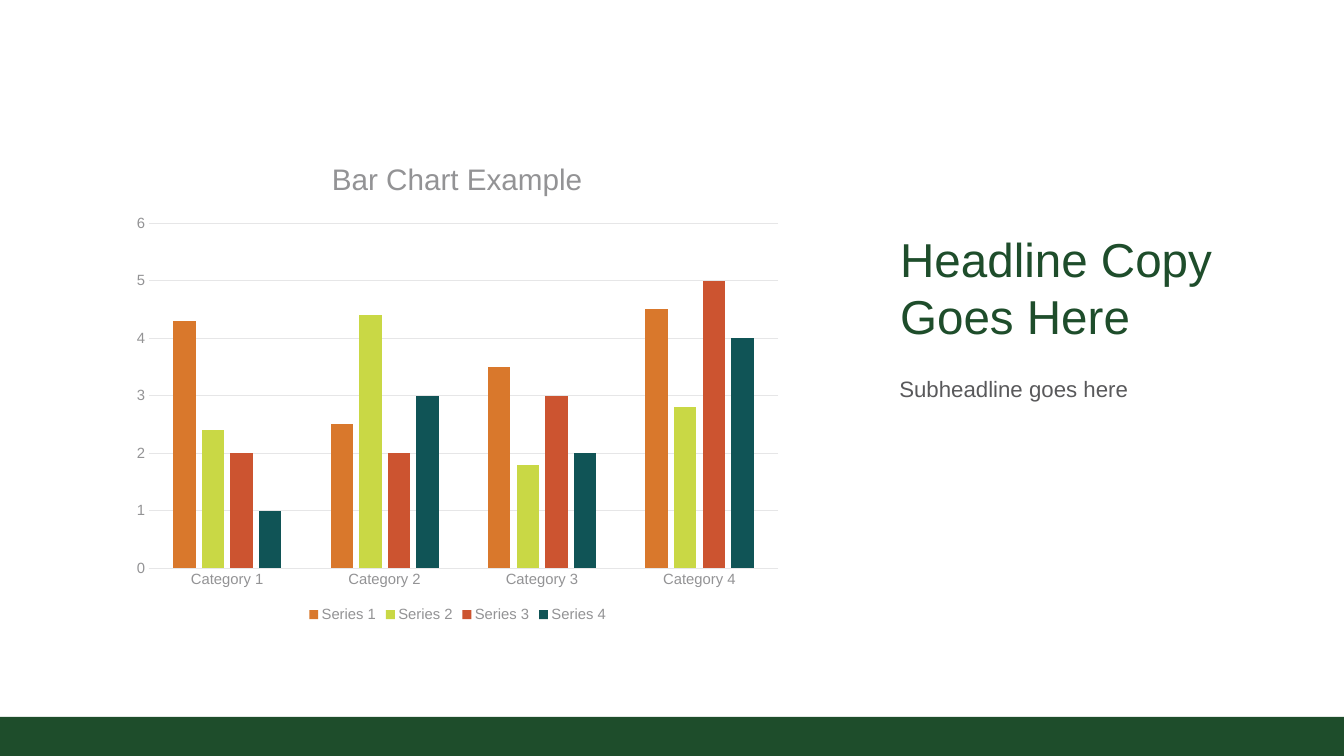
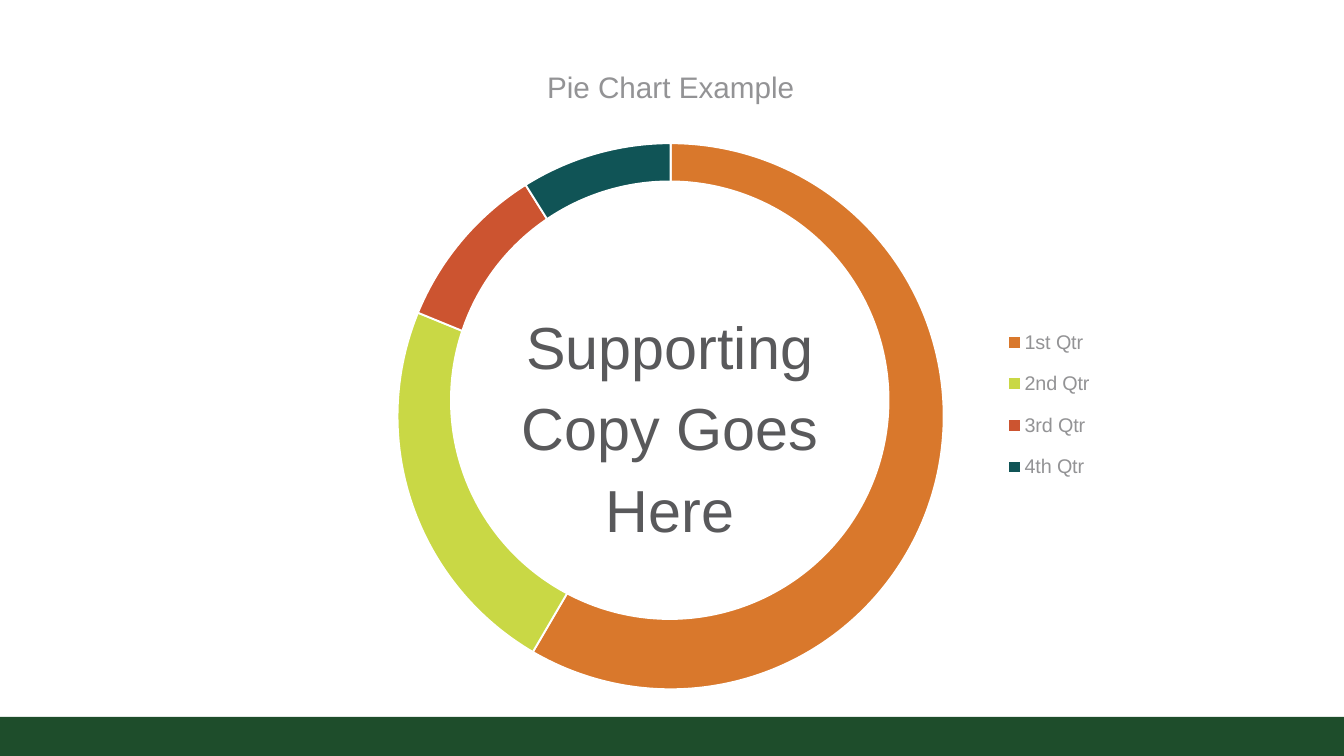
import pptx
import pptx.chart.data
import pptx.dml.color
import pptx.enum.chart
import pptx.enum.shapes
import pptx.enum.text
import pptx.oxml
import pptx.oxml.ns
import pptx.util
from pptx.util import Inches

COLORS = {
    "green": "1E4D2B",
    "text": "59595B",
    "label": "939395",
    "grid": "E6E6E7",
    "white": "FFFFFF",
}
SERIES_COLORS = ["D9782C", "C9D845", "CC5430", "105456"]
FONT = "Arial"
WIDTH, HEIGHT, BAND_HEIGHT = 15.11, 8.5, 0.44
TITLE_AND_BODY, TITLE_ONLY = 1, 5


def rgb(value):
    return pptx.dml.color.RGBColor.from_string(value)


class Presenter:
    """Holds the shared style and the current page."""

    def __init__(self):
        self.deck = pptx.Presentation()
        self.deck.slide_width = Inches(WIDTH)
        self.deck.slide_height = Inches(HEIGHT)
        self.page = None

    def new_page(self, layout):
        """Start a page with the bottom band."""
        self.page = self.deck.slides.add_slide(self.deck.slide_layouts[layout])
        self.shape(pptx.enum.shapes.MSO_SHAPE.RECTANGLE,
                   (0, HEIGHT - BAND_HEIGHT, WIDTH, BAND_HEIGHT), COLORS["green"])

    def shape(self, kind, place, color):
        shape = self.page.shapes.add_shape(kind, *map(Inches, place))
        shape.shadow.inherit = False
        shape.fill.solid()
        shape.fill.fore_color.rgb = rgb(color)
        shape.line.fill.background()
        return shape

    def style_font(self, font, size, color):
        font.name = FONT
        font.size = pptx.util.Pt(size)
        font.bold = False
        font.color.rgb = rgb(color)

    def text(self, index, place, lines, size, color, spacing=1.0,
             centered=False, margins=(0.11, 0.06), gap=0):
        """Move a placeholder to the front, then format and fill it."""
        box = self.page.placeholders[index]
        self.page.shapes.element.append(box.element)
        box.left, box.top, box.width, box.height = map(Inches, place)
        frame = box.text_frame
        frame.word_wrap = True
        frame.auto_size = pptx.enum.text.MSO_AUTO_SIZE.NONE
        frame.vertical_anchor = pptx.enum.text.MSO_ANCHOR.TOP
        frame.margin_left = frame.margin_right = Inches(margins[0])
        frame.margin_top = frame.margin_bottom = Inches(margins[1])

        para = frame.paragraphs[0]
        align = pptx.enum.text.PP_ALIGN
        para.alignment = align.CENTER if centered else align.LEFT
        para.line_spacing = spacing
        para.space_before = para.space_after = pptx.util.Pt(gap)
        properties = para._p.get_or_add_pPr()
        properties.set("marL", "0")
        properties.set("indent", "0")
        properties.append(pptx.oxml.parse_xml(
            "<a:buNone %s/>" % pptx.oxml.ns.nsdecls("a")))
        for number, line in enumerate(lines):
            if number:
                para.add_line_break()
            span = para.add_run()
            span.text = line
            self.style_font(span.font, size, color)

    def set_layout(self, part, index, chart_place, place, inner=False):
        """Place a chart part; its place on the page becomes chart fractions."""
        left, top, width, height = chart_place
        fractions = [(place[0] - left) / width, (place[1] - top) / height]
        if len(place) == 4:
            fractions += [place[2] / width, place[3] / height]
        settings = '<c:layoutTarget val="inner"/>' if inner else ""
        settings += '<c:xMode val="edge"/><c:yMode val="edge"/>'
        for name, value in zip("xywh", fractions):
            settings += f'<c:{name} val="{value:.4f}"/>'
        for old in part.xpath("./c:layout"):
            part.remove(old)
        part.insert(index, pptx.oxml.parse_xml(
            f'<c:layout {pptx.oxml.ns.nsdecls("c")}>'
            f"<c:manualLayout>{settings}</c:manualLayout></c:layout>"))

    def chart(self, kind, place, title, title_at, plot_at, categories, series,
              legend_position, legend_size):
        data = pptx.chart.data.CategoryChartData()
        data.categories = categories
        for name, values in series:
            data.add_series(name, values)
        chart = self.page.shapes.add_chart(kind, *map(Inches, place), data).chart
        self.style_font(chart.font, 10, COLORS["text"])

        # Title
        chart.has_title = True
        span = chart.chart_title.text_frame.paragraphs[0].add_run()
        span.text = title
        self.style_font(span.font, 24, COLORS["label"])
        title_part = chart.element.xpath("./c:chart/c:title")[0]
        self.set_layout(title_part, 1, place, title_at)

        # Plot and legend
        plot_area = chart.element.xpath("./c:chart/c:plotArea")[0]
        self.set_layout(plot_area, 0, place, plot_at, inner=True)
        chart.has_legend = True
        chart.legend.position = legend_position
        chart.legend.include_in_layout = False
        self.style_font(chart.legend.font, legend_size, COLORS["label"])
        return chart

    def style_axis(self, axis):
        axis.major_tick_mark = pptx.enum.chart.XL_TICK_MARK.NONE
        axis.minor_tick_mark = pptx.enum.chart.XL_TICK_MARK.NONE
        self.style_font(axis.tick_labels.font, 12, COLORS["label"])

    def grid_line(self, line):
        line.color.rgb = rgb(COLORS["grid"])
        line.width = pptx.util.Pt(0.75)

    def column_chart(self, **options):
        chart = self.chart(
            pptx.enum.chart.XL_CHART_TYPE.COLUMN_CLUSTERED, legend_size=12,
            legend_position=pptx.enum.chart.XL_LEGEND_POSITION.BOTTOM, **options)
        plot = chart.plots[0]
        plot.vary_by_categories = False
        plot.gap_width, plot.overlap = 219, -27
        for series, color in zip(plot.series, SERIES_COLORS):
            series.format.fill.solid()
            series.format.fill.fore_color.rgb = rgb(color)

        # Axes
        self.style_axis(chart.category_axis)
        self.grid_line(chart.category_axis.format.line)
        values = chart.value_axis
        self.style_axis(values)
        values.minimum_scale, values.maximum_scale, values.major_unit = 0, 6, 1
        values.format.line.fill.background()
        values.has_major_gridlines = True
        self.grid_line(values.major_gridlines.format.line)

    def pie_chart(self, place, legend_at, **options):
        chart = self.chart(
            pptx.enum.chart.XL_CHART_TYPE.PIE, place, legend_size=16,
            legend_position=pptx.enum.chart.XL_LEGEND_POSITION.RIGHT, **options)
        legend = chart.element.xpath("./c:chart/c:legend")[0]
        self.set_layout(legend, 1, place, legend_at)
        plot = chart.plots[0]
        plot.vary_by_categories = True
        for number, color in enumerate(SERIES_COLORS):
            slice_format = plot.series[0].points[number].format
            slice_format.fill.solid()
            slice_format.fill.fore_color.rgb = rgb(color)
            slice_format.line.color.rgb = rgb(COLORS["white"])
            slice_format.line.width = pptx.util.Pt(1.5)


def main():
    show = Presenter()

    # Column chart with headline
    show.new_page(TITLE_AND_BODY)
    show.text(0, (10.01, 2.53, 4.42, 1.41), ["Headline Copy Goes Here"],
              38.5, COLORS["green"])
    show.text(1, (10.01, 4.08, 4.42, 1.06), ["Subheadline goes here"],
              18, COLORS["text"], 1.14, margins=(0.1, 0.1), gap=6)
    show.column_chart(
        place=(1.39, 1.58, 7.51, 5.46),
        title="Bar Chart Example",
        title_at=(3.67, 1.74),
        plot_at=(1.67, 2.51, 7.08, 3.88),
        categories=[f"Category {number}" for number in range(1, 5)],
        series=[
            ("Series 1", (4.3, 2.5, 3.5, 4.5)),
            ("Series 2", (2.4, 4.4, 1.8, 2.8)),
            ("Series 3", (2, 2, 3, 5)),
            ("Series 4", (1, 3, 2, 4)),
        ])

    # Ring: a pie with a white disc over its middle
    show.new_page(TITLE_ONLY)
    show.pie_chart(
        place=(2.31, 0.69, 10.44, 7.6),
        title="Pie Chart Example",
        title_at=(6.09, 0.7),
        plot_at=(4.47, 1.61, 6.14, 6.14),
        legend_at=(11.22, 3.5, 1.15, 2.1),
        categories=["1st Qtr", "2nd Qtr", "3rd Qtr", "4th Qtr"],
        series=[("Series 1", (59, 23, 10, 9))])
    show.shape(pptx.enum.shapes.MSO_SHAPE.OVAL, (5.06, 2.03, 4.94, 4.94),
               COLORS["white"])
    show.text(0, (5.32, 3.32, 4.42, 2.8), ["Supporting", "Copy Goes", "Here"],
              48, COLORS["text"], 1.14, centered=True)

    show.deck.save("out.pptx")


if __name__ == "__main__":
    main()
